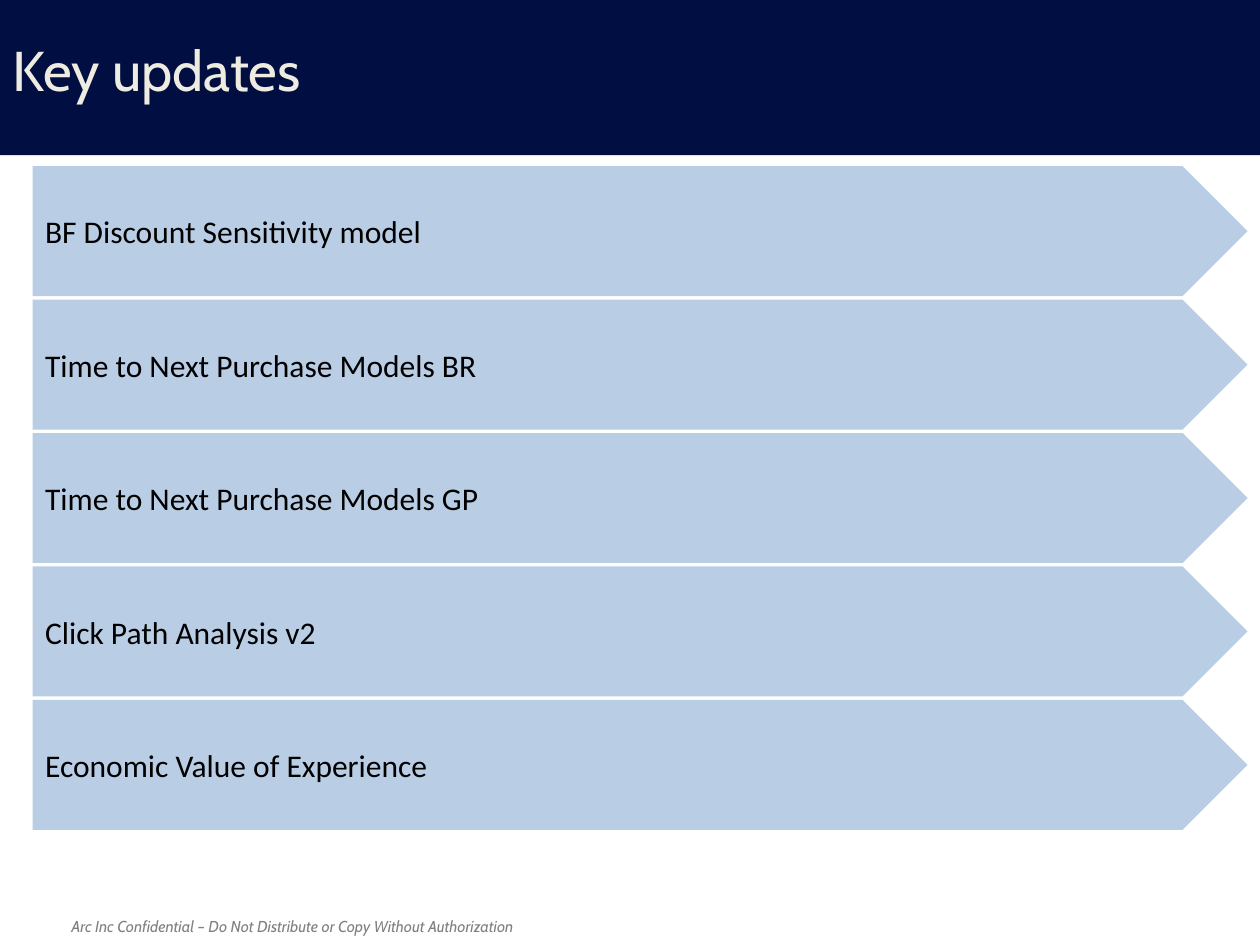
from pptx import Presentation
from pptx.dml.color import RGBColor
from pptx.enum.shapes import MSO_SHAPE
from pptx.enum.text import MSO_ANCHOR, PP_ALIGN
from pptx.util import Cm, Pt

TITLE = "Key updates"
UPDATES = [
    "BF Discount Sensitivity model",
    "Time to Next Purchase Models BR",
    "Time to Next Purchase Models GP",
    "Click Path Analysis v2",
    "Economic Value of Experience",
]
FOOTER = "Arc Inc Confidential – Do Not Distribute or Copy Without Authorization"

COLORS = {"band": "000E41", "title": "EEECE1", "arrow": "B9CDE5",
          "text": "000000", "footer": "808080"}

# Arrow column, in centimetres
ARROW_LEFT, ARROW_TOP = 0.66, 3.35
ARROW_WIDTH, ARROW_HEIGHT = 24.49, 2.62
ARROW_PITCH = 2.69


def place(shape, left, top, width, height):
    shape.left, shape.top = Cm(left), Cm(top)
    shape.width, shape.height = Cm(width), Cm(height)


def add_filled(page, kind, left, top, width, height, color):
    shape = page.shapes.add_shape(kind, Cm(left), Cm(top), Cm(width), Cm(height))
    shape.shadow.inherit = False
    shape.fill.solid()
    shape.fill.fore_color.rgb = RGBColor.from_string(COLORS[color])
    shape.line.fill.background()
    return shape


def write(shape, text, font, size, color, anchor=MSO_ANCHOR.MIDDLE, italic=False):
    frame = shape.text_frame
    frame.text = text
    frame.word_wrap = True
    frame.vertical_anchor = anchor
    paragraph = frame.paragraphs[0]
    paragraph.alignment = PP_ALIGN.LEFT
    span = paragraph.runs[0]
    span.font.name = font
    span.font.size = Pt(size)
    span.font.italic = italic
    span.font.color.rgb = RGBColor.from_string(COLORS[color])


def main():
    deck = Presentation()
    deck.slide_width, deck.slide_height = Cm(25.4), Cm(19.05)
    page = deck.slides.add_slide(deck.slide_layouts[5])

    # Header band, behind the title
    band = add_filled(page, MSO_SHAPE.RECTANGLE, 0, -0.02, 25.4, 3.15, "band")
    page.shapes._spTree.insert(2, band._element)
    title = page.shapes.title
    place(title, 0, 0.33, 24.87, 2.11)
    write(title, TITLE, "Cabin", 32, "title")

    # One arrow per update
    for index, update in enumerate(UPDATES):
        arrow = add_filled(page, MSO_SHAPE.PENTAGON, ARROW_LEFT,
                           ARROW_TOP + index * ARROW_PITCH,
                           ARROW_WIDTH, ARROW_HEIGHT, "arrow")
        write(arrow, update, "Calibri", 18, "text")

    # Footer
    footer = page.shapes.add_textbox(Cm(1.19), Cm(18.36), Cm(23.67), Cm(0.64))
    write(footer, FOOTER, "Cabin", 9, "footer", MSO_ANCHOR.TOP, italic=True)

    deck.save("out.pptx")


if __name__ == "__main__":
    main()
